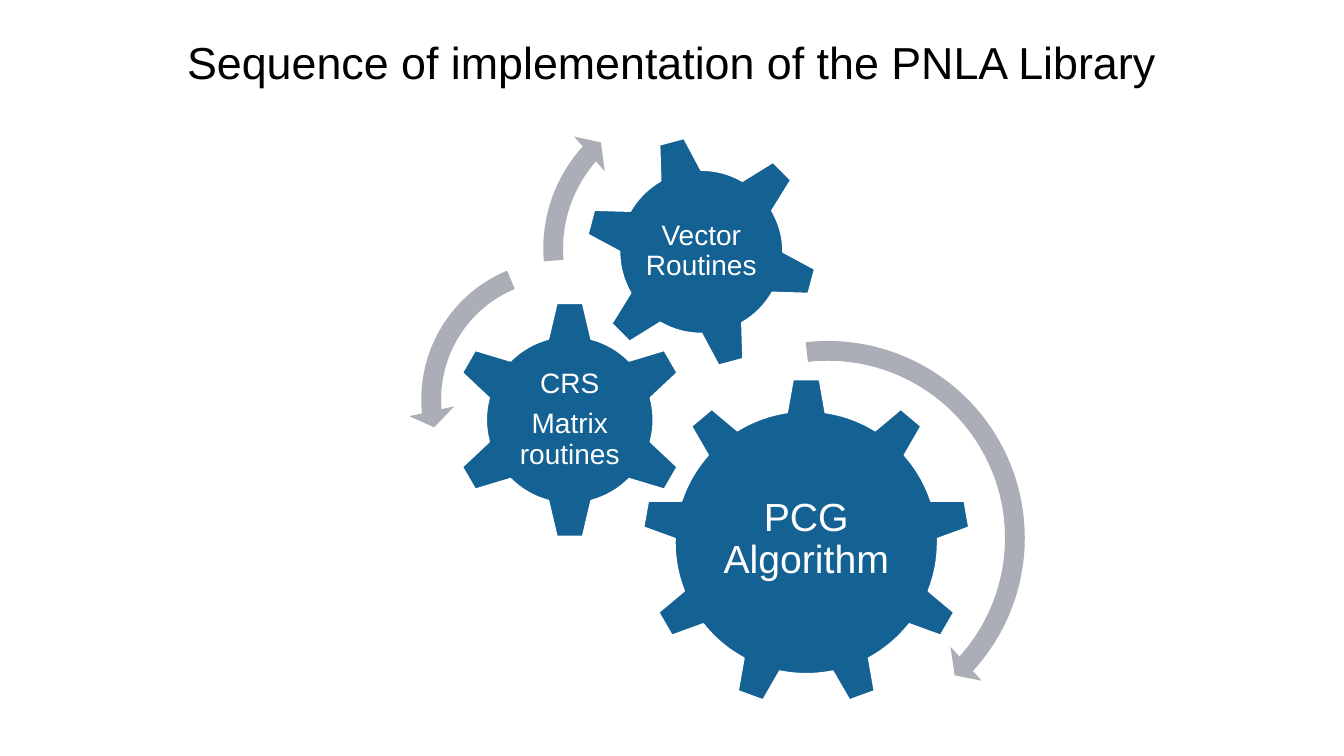
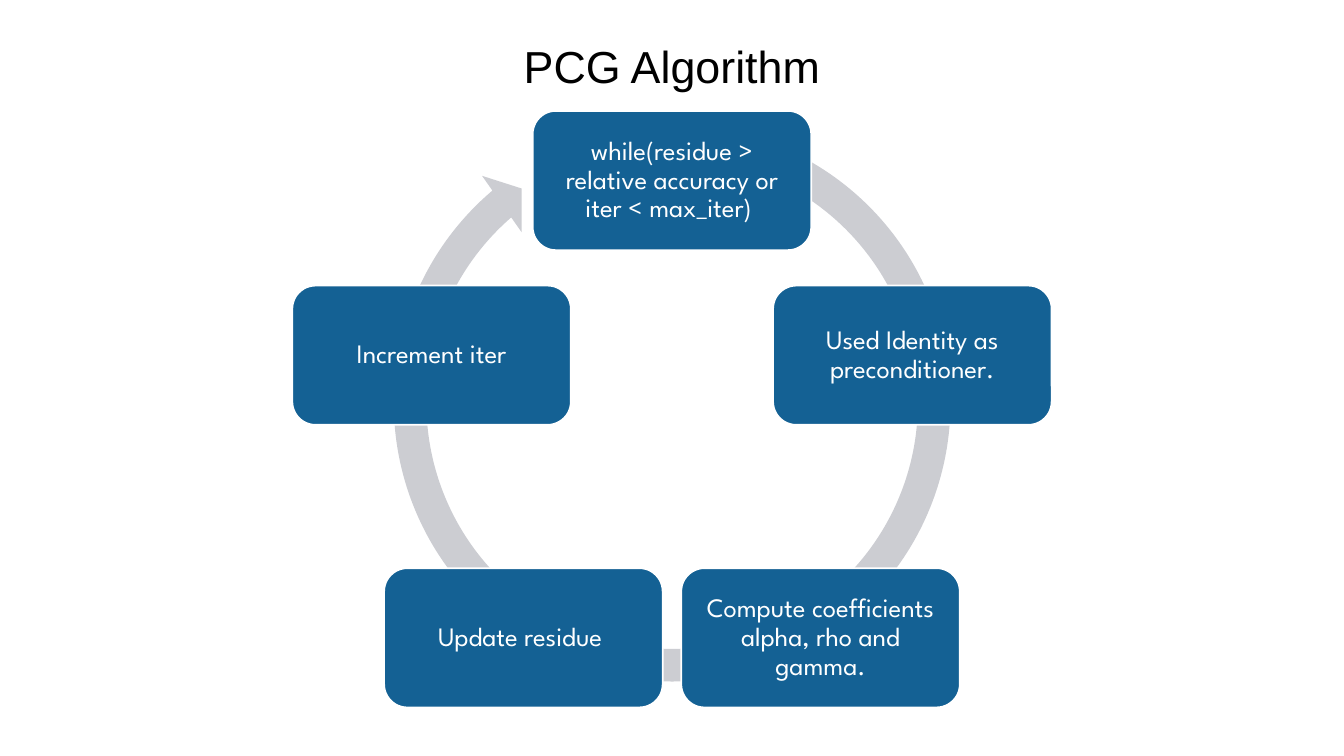
"""Build two slides: the library's order of implementation and the PCG cycle."""
from math import cos, radians, sin

from pptx import Presentation
from pptx.dml.color import RGBColor
from pptx.enum.shapes import MSO_SHAPE
from pptx.enum.text import MSO_ANCHOR, MSO_AUTO_SIZE, PP_ALIGN
from pptx.util import Cm, Pt

COLORS = {
    "title": "000000",
    "node": "146194",
    "on_node": "FFFFFF",
    "turn": "ABADB7",
    "cycle": "CCCDD2",
}
SLIDE_WIDTH, SLIDE_HEIGHT = 33.87, 19.05


def add_filled(slide, preset, left, top, width, height, color, outlined=False):
    shape = slide.shapes.add_shape(preset, Cm(left), Cm(top), Cm(width), Cm(height))
    shape.shadow.inherit = False
    shape.fill.solid()
    shape.fill.fore_color.rgb = RGBColor.from_string(COLORS[color])
    if outlined:
        shape.line.color.rgb = RGBColor.from_string(COLORS["on_node"])
        shape.line.width = Pt(1.25)
    else:
        shape.line.fill.background()
    return shape


def write_text(holder, text, font, size, color, anchor, inset, spacing=1.0, after=0):
    frame = holder.text_frame
    frame.text = text
    frame.word_wrap = True
    frame.auto_size = MSO_AUTO_SIZE.NONE
    frame.vertical_anchor = anchor
    frame.margin_left = frame.margin_right = Cm(inset)
    frame.margin_top = frame.margin_bottom = Cm(inset)
    for paragraph in frame.paragraphs:
        paragraph.alignment = PP_ALIGN.CENTER
        paragraph.line_spacing = spacing
        paragraph.space_before = Pt(0)
        paragraph.space_after = Pt(after)
        paragraph.font.name = font
        paragraph.font.size = Pt(size)
        paragraph.font.color.rgb = RGBColor.from_string(COLORS[color])


prs = Presentation()
prs.slide_width, prs.slide_height = Cm(SLIDE_WIDTH), Cm(SLIDE_HEIGHT)
title_only = prs.slide_layouts[5]
sequence = prs.slides.add_slide(title_only)
algorithm = prs.slides.add_slide(title_only)

for slide, heading, top in (
    (sequence, "Sequence of implementation of the PNLA Library", 0.74),
    (algorithm, "PCG Algorithm", 0.84),
):
    title = slide.shapes.title
    title.left, title.top = Cm(0), Cm(top)
    title.width, title.height = Cm(SLIDE_WIDTH), Cm(1.63)
    write_text(title, heading, "Arial", 32, "title", MSO_ANCHOR.TOP, 0.13)

gears = (
    ("PCG Algorithm", MSO_SHAPE.GEAR_9, 16.18, 9.53, 8.28, 0, 28),
    ("CRS\nMatrix routines", MSO_SHAPE.GEAR_6, 11.35, 7.57, 6.02, 0, 20),
    ("Vector Routines", MSO_SHAPE.GEAR_6, 14.73, 3.4, 5.89, -15, 20),
)
for label, preset, left, top, side, turn, size in gears:
    gear = add_filled(sequence, preset, left, top, side, side, "node", outlined=True)
    gear.rotation = turn
    label_holder = gear
    if turn:
        margin = 1.3
        label_side = Cm(side - 2 * margin)
        label_holder = sequence.shapes.add_textbox(
            Cm(left + margin), Cm(top + margin), label_side, label_side
        )
    write_text(label_holder, label, "Arial", size, "on_node",
               MSO_ANCHOR.MIDDLE, 0.08, 0.9, 0.35 * size)

clockwise, counterclockwise = MSO_SHAPE.CIRCULAR_ARROW, MSO_SHAPE.LEFT_CIRCULAR_ARROW
arrows = (
    (sequence, clockwise, 15.57, 8.26, 10.59, "turn", 4.7, (4.98, 42.32, 263.54), 5.5),
    (sequence, counterclockwise, 10.29, 6.22, 7.7, "turn", 6.5, (7.17, 174.82, 247.3), 7.5),
    (sequence, clockwise, 13.36, 2.11, 8.31, "turn", 6, (6.57, 221.9, 175.14), 7),
    (algorithm, clockwise, 9.47, 2.69, 14.94, "cycle", 5.5, (5.51, 229.46, 289.85), 5.8),
)
for slide, preset, left, top, side, color, band_percent, degrees, head_percent in arrows:
    arrow = add_filled(slide, preset, left, top, side, side, color)
    arrow.adjustments[0] = band_percent / 100
    for index, angle in enumerate(degrees, start=1):
        arrow.adjustments[index] = angle * 0.6
    arrow.adjustments[4] = head_percent / 100

steps = (
    "while(residue > relative accuracy or iter < max_iter) ",
    "Used Identity as preconditioner.",
    "Compute coefficients alpha, rho and gamma.",
    "Update residue ",
    "Increment iter",
)
center_x, center_y, radius = SLIDE_WIDTH / 2, 10.92, 6.37
step_width, step_height = 7.02, 3.51
for index, step in enumerate(steps):
    angle = radians(360 / len(steps) * index)
    left = center_x + radius * sin(angle) - step_width / 2
    top = center_y - radius * cos(angle) - step_height / 2
    box = add_filled(algorithm, MSO_SHAPE.ROUNDED_RECTANGLE, left, top,
                     step_width, step_height, "node", outlined=True)
    write_text(box, step, "League Spartan", 19, "on_node",
               MSO_ANCHOR.MIDDLE, 0.2, 0.9, 0.35 * 19)

prs.save("out.pptx")
